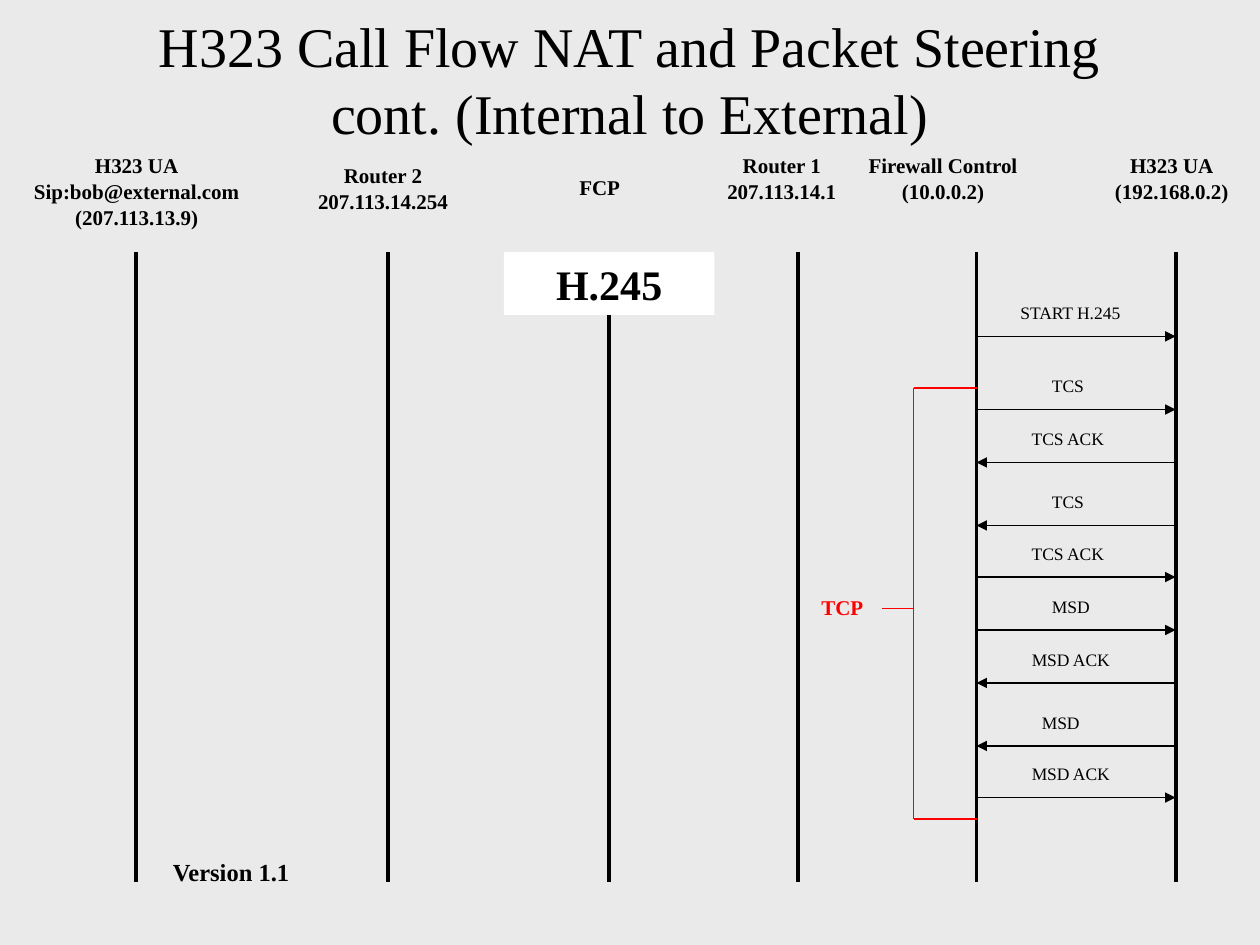
from lxml import etree
from pptx import Presentation
from pptx.dml.color import RGBColor
from pptx.enum.shapes import MSO_CONNECTOR, MSO_SHAPE
from pptx.enum.text import MSO_ANCHOR, MSO_AUTO_SIZE, PP_ALIGN
from pptx.oxml.ns import qn
from pptx.util import Inches, Pt

STRAIGHT = MSO_CONNECTOR.STRAIGHT
RECTANGLE = MSO_SHAPE.RECTANGLE
TOP, MIDDLE = MSO_ANCHOR.TOP, MSO_ANCHOR.MIDDLE
FIT_SHAPE, NO_FIT = MSO_AUTO_SIZE.SHAPE_TO_FIT_TEXT, MSO_AUTO_SIZE.NONE
LEFT, CENTER = PP_ALIGN.LEFT, PP_ALIGN.CENTER

BACKGROUND = RGBColor(0xEA, 0xEA, 0xEA)
BLACK = RGBColor(0, 0, 0)
WHITE = RGBColor(0xFF, 0xFF, 0xFF)
RED = RGBColor(0xFF, 0, 0)
FONT = "Times New Roman"

# Lifeline x, then the header's lines and its left, top, width, height
PARTICIPANTS = [
    (1.08, ["H323 UA", "Sip:bob@external.com", "(207.113.13.9)"],
     (0.15, 1.25, 1.87, 0.61)),
    (3.08, ["Router 2", "207.113.14.254"], (2.4, 1.33, 1.28, 0.41)),
    (4.83, ["FCP"], (4.46, 1.42, 0.6, 0.2)),
    (6.33, ["Router 1", "207.113.14.1"], (5.65, 1.25, 1.11, 0.41)),
    (7.75, ["Firewall Control", "(10.0.0.2)"], (6.77, 1.25, 1.43, 0.41)),
    (9.33, ["H323 UA", "(192.168.0.2)"], (8.73, 1.25, 1.14, 0.41)),
]
FIREWALL_X, INTERNAL_UA_X = PARTICIPANTS[4][0], PARTICIPANTS[5][0]

# Label, label left, label width, arrow y, whether the firewall sends it
MESSAGES = [
    ("START H.245", 8, 1.06, 2.67, True),
    ("TCS", 8.25, 0.52, 3.25, True),
    ("TCS ACK", 8.09, 0.84, 3.67, False),
    ("TCS", 8.25, 0.52, 4.17, False),
    ("TCS ACK", 8.09, 0.84, 4.58, True),
    ("MSD", 8.25, 0.56, 5, True),
    ("MSD ACK", 8.09, 0.88, 5.42, False),
    ("MSD", 8.17, 0.56, 5.92, False),
    ("MSD ACK", 8.09, 0.88, 6.33, True),
]


def add_line(slide, start, end, color=BLACK, width=0.75, arrow=False):
    line = slide.shapes.add_connector(
        STRAIGHT, *(Inches(value) for value in (*start, *end)))
    line.line.color.rgb = color
    line.line.width = Pt(width)
    if arrow:
        etree.SubElement(line.line._get_or_add_ln(), qn("a:tailEnd"),
                         type="triangle")
    etree.SubElement(line._element.spPr, qn("a:effectLst"))


def format_text(frame, size, color=BLACK, bold=False, align=LEFT,
                spacing=1.0, before=0):
    """Format all paragraphs; space before applies after the first one."""
    for index, paragraph in enumerate(frame.paragraphs):
        paragraph.alignment = align
        paragraph.line_spacing = spacing
        paragraph.space_before = Pt(before if index else 0)
        paragraph.font.name = FONT
        paragraph.font.size = Pt(size)
        paragraph.font.bold = bold
        paragraph.font.color.rgb = color


def add_label(slide, box, lines, size, wrap=False, **style):
    frame = slide.shapes.add_textbox(
        *(Inches(value) for value in box)).text_frame
    frame.text = "\n".join(lines)
    frame.word_wrap = wrap
    frame.auto_size = NO_FIT if wrap else FIT_SHAPE
    format_text(frame, size, **style)


def place_title(slide, box):
    title = slide.shapes.title
    title.left, title.top, title.width, title.height = map(Inches, box)
    frame = title.text_frame
    frame.text = ("H323 Call Flow NAT and Packet Steering\v"
                  "cont. (Internal to External)")
    frame.vertical_anchor = MIDDLE
    frame.auto_size = NO_FIT
    format_text(frame, 32, align=CENTER)


def add_participants(slide, top, bottom):
    for x, lines, header_box in PARTICIPANTS:
        add_line(slide, (x, top), (x, bottom), width=2.25)
        add_label(slide, header_box, lines, 12, bold=True, align=CENTER,
                  spacing=0.5, before=7.5)


def add_protocol_banner(slide, box):
    banner = slide.shapes.add_shape(
        RECTANGLE, *(Inches(value) for value in box))
    banner.shadow.inherit = False
    banner.fill.solid()
    banner.fill.fore_color.rgb = WHITE
    banner.line.fill.background()
    frame = banner.text_frame
    frame.text = "H.245"
    frame.word_wrap = True
    frame.vertical_anchor = TOP
    format_text(frame, 24, bold=True, align=CENTER)


def add_messages(slide, left, right):
    for label, label_left, label_width, y, from_firewall in MESSAGES:
        start, end = (left, right) if from_firewall else (right, left)
        add_line(slide, (start, y), (end, y), arrow=True)
        add_label(slide, (label_left, y - 0.25, label_width, 0.19),
                  [label], 10, spacing=0.5)


def add_tcp_bracket(slide, left, top, right, bottom):
    add_label(slide, (6.42, 4.67, 0.58, 0.3), ["TCP"], 12,
              color=RED, bold=True)
    stem_y = 4.83
    for start, end in [
        ((left, top), (left, bottom)),
        ((left, top), (right, top)),
        ((left, bottom), (right, bottom)),
        ((left - 0.25, stem_y), (left, stem_y)),
    ]:
        add_line(slide, start, end, color=RED)


def main():
    deck = Presentation()
    deck.slide_width, deck.slide_height = Inches(10), Inches(7.5)
    slide = deck.slides.add_slide(deck.slide_layouts.get_by_name("Title Only"))
    slide.background.fill.solid()
    slide.background.fill.fore_color.rgb = BACKGROUND

    place_title(slide, (0, 0, 10, 1.25))
    add_participants(slide, 2, 7)
    add_protocol_banner(slide, (4, 2, 1.67, 0.5))
    add_messages(slide, FIREWALL_X, INTERNAL_UA_X)
    add_tcp_bracket(slide, 7.25, 3.08, FIREWALL_X, 6.5)
    add_label(slide, (0.25, 6.75, 3.17, 0.5), ["Version 1.1"], 14,
              wrap=True, bold=True, align=CENTER)
    deck.save("out.pptx")


if __name__ == "__main__":
    main()
